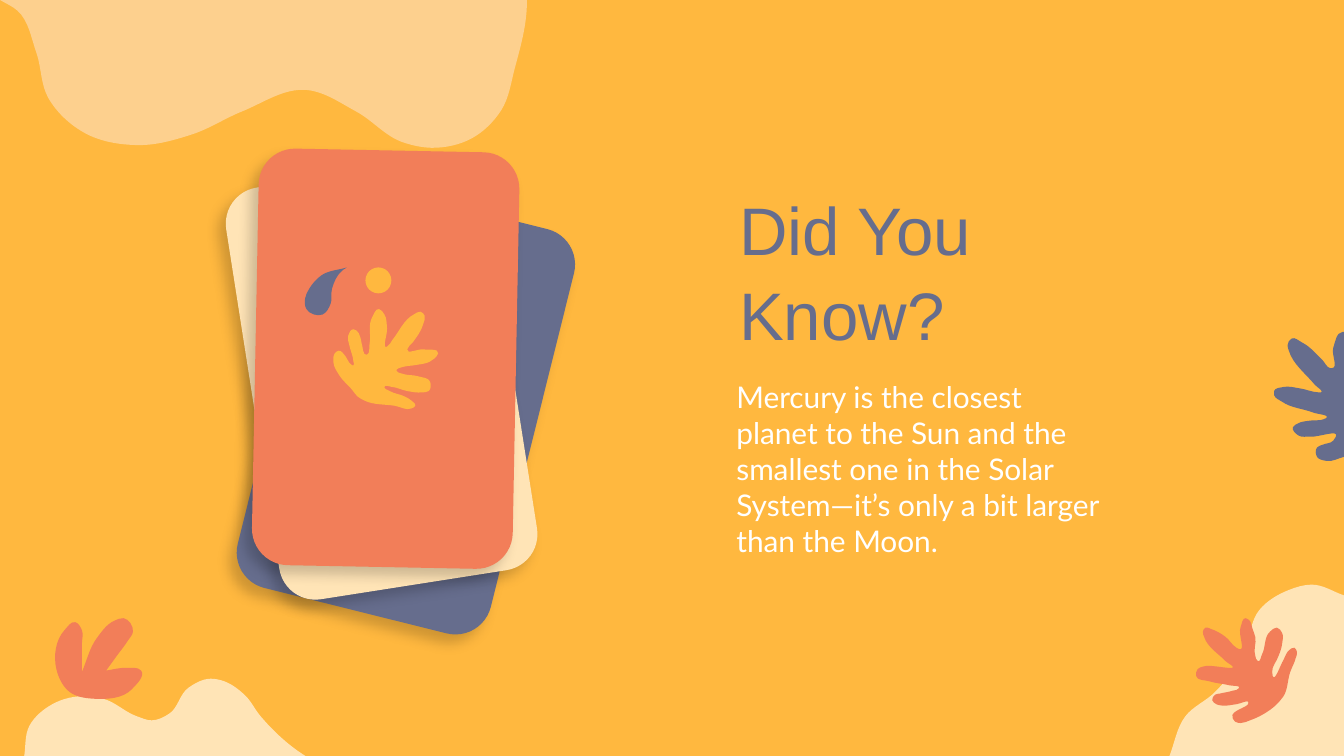
"""Build a "Did You Know?" slide with stacked cards, soft blobs and leaves."""
from lxml import etree
from pptx import Presentation
from pptx.dml.color import RGBColor
from pptx.enum.shapes import MSO_SHAPE
from pptx.enum.text import MSO_ANCHOR, MSO_AUTO_SIZE, PP_ALIGN
from pptx.oxml.ns import qn
from pptx.util import Pt

ROUNDED, OVAL = MSO_SHAPE.ROUNDED_RECTANGLE, MSO_SHAPE.OVAL
TOP, BOTTOM = MSO_ANCHOR.TOP, MSO_ANCHOR.BOTTOM
LEFT, NO_AUTOFIT = PP_ALIGN.LEFT, MSO_AUTO_SIZE.NONE

AMBER = RGBColor(0xFF, 0xB8, 0x3F)
PEACH = RGBColor(0xFD, 0xD0, 0x8E)
CREAM = RGBColor(0xFF, 0xE4, 0xB6)
CORAL = RGBColor(0xF2, 0x7E, 0x59)
SLATE = RGBColor(0x66, 0x6D, 0x8D)
WHITE = RGBColor(0xFF, 0xFF, 0xFF)

GRID = 0.72

prs = Presentation()
prs.slide_width, prs.slide_height = Pt(720), Pt(405)
slide = prs.slides.add_slide(prs.slide_layouts[5])
slide.background.fill.solid()
slide.background.fill.fore_color.rgb = AMBER


def write_text(holder, text, *, font, size, color, anchor=TOP, line_spacing=1.0):
    """Fill a text holder with one left-aligned paragraph."""
    frame = holder.text_frame
    frame.word_wrap, frame.auto_size = True, NO_AUTOFIT
    frame.vertical_anchor = anchor
    frame.margin_left = frame.margin_right = Pt(7.2)
    frame.margin_top = frame.margin_bottom = Pt(7.2)
    paragraph = frame.paragraphs[0]
    paragraph.alignment, paragraph.line_spacing = LEFT, line_spacing
    run = paragraph.add_run()
    run.text = text
    run.font.name, run.font.size, run.font.color.rgb = font, Pt(size), color


def draw_smooth(knots, color):
    """Draw a closed curved outline through grid knots; a doubled knot is a corner."""
    points = [complex(x, y) * GRID for x, y in knots]
    following = points[1:] + points[:1]
    tangents = []
    for i, (point, after) in enumerate(zip(points, following)):
        sides = (point - points[i - 1], after - point)
        slope = sum(side / abs(side) ** 2 for side in sides if side)
        tangents.append(slope / (abs(slope) or 1))
    corners = [(Pt(p.real), Pt(p.imag)) for p in points + points[:1]]
    builder = slide.shapes.build_freeform(*corners[0])
    builder.add_line_segments(corners[1:], close=True)
    shape = builder.convert_to_shape()
    origin = complex(min(p.real for p in points), min(p.imag for p in points))
    segments = list(shape._element.iter(qn("a:lnTo")))
    for i, (segment, start, end) in enumerate(zip(segments, points, following)):
        reach = abs(end - start) / 3
        if not reach:
            segment.getparent().remove(segment)
            continue
        segment.tag = qn("a:cubicBezTo")
        leave = start + tangents[i] * reach - origin
        arrive = end - tangents[(i + 1) % len(points)] * reach - origin
        for order, handle in enumerate((leave, arrive)):
            segment.insert(order, etree.Element(
                qn("a:pt"), x=str(Pt(handle.real)), y=str(Pt(handle.imag))))
    shape.shadow.inherit = False
    shape.fill.solid()
    shape.fill.fore_color.rgb = color
    shape.line.fill.background()


bottom_blob = [
    (157, 505), (140, 512), (126, 531), (113, 536), (102, 533), (77, 520), (65, 518),
    (39, 524), (22, 540), (18, 563), (18, 563), (228, 563), (228, 563), (222, 559),
    (194, 533), (182, 517), (164, 506)]
top_blob = [
    (0, 0), (0, 0), (13, 8), (27, 39), (36, 73), (63, 99), (103, 108), (143, 100),
    (180, 83), (228, 67), (265, 83), (300, 106), (321, 110), (351, 103), (373, 82),
    (383, 51), (392, 3), (392, 0), (392, 0)]
right_blob = [
    (976, 435), (959, 439), (937, 454), (927, 479), (918, 498), (904, 515), (882, 533),
    (870, 563), (870, 563), (1000, 563), (1000, 563), (1000, 443), (1000, 443)]
sprig = [
    (92, 460), (85, 462), (72, 475), (61, 500), (61, 500), (61, 479), (61, 469),
    (56, 463), (48, 469), (42, 498), (52, 515), (71, 520), (98, 513), (105, 499),
    (94, 497), (79, 499), (79, 499), (87, 488), (95, 477), (99, 470)]
coral_leaf = [
    (927, 460), (923, 467), (922, 483), (920, 482), (912, 474), (901, 468), (897, 467),
    (895, 470), (896, 474), (912, 492), (917, 497), (914, 497), (906, 496), (895, 496),
    (891, 498), (890, 503), (900, 507), (915, 510), (922, 512), (917, 514), (908, 516),
    (904, 517), (902, 521), (905, 524), (909, 525), (920, 524), (929, 523), (924, 527),
    (920, 529), (917, 532), (919, 537), (923, 538), (930, 536), (939, 532), (950, 524),
    (955, 518), (960, 500), (964, 490), (965, 485), (963, 482), (959, 484), (955, 491),
    (947, 503), (947, 497), (950, 491), (954, 479), (954, 471), (950, 467), (945, 470),
    (939, 487), (936, 492), (934, 488), (934, 474), (932, 468), (929, 461)]
slate_leaf = [
    (1000, 247), (999, 247), (992, 259), (991, 274), (990, 274), (984, 268), (969, 255),
    (961, 252), (958, 257), (959, 261), (978, 286), (983, 292), (981, 292), (967, 289),
    (955, 288), (948, 291), (948, 294), (954, 299), (977, 307), (987, 311), (985, 312),
    (975, 313), (966, 315), (962, 318), (966, 324), (975, 325), (994, 325), (992, 328),
    (984, 331), (980, 333), (980, 340), (987, 343), (1000, 340), (1000, 340), (1000, 247)]
amber_leaf = [
    (306, 304), (309, 302), (306, 298), (301, 295), (290, 291), (286, 288), (292, 288),
    (303, 291), (314, 292), (319, 291), (320, 284), (311, 280), (299, 278), (295, 276),
    (300, 273), (307, 272), (323, 267), (326, 263), (315, 260), (303, 260), (307, 255),
    (315, 241), (316, 235), (313, 232), (308, 234), (292, 253), (288, 258), (288, 244),
    (286, 234), (282, 230), (277, 236), (275, 256), (273, 264), (269, 255), (267, 248),
    (263, 245), (259, 250), (260, 257), (263, 269), (263, 272), (261, 271), (257, 265),
    (252, 261), (249, 263), (248, 269), (253, 280), (262, 290), (266, 295), (271, 298),
    (294, 302)]
drop = [
    (239, 205), (230, 215), (227, 222), (228, 230), (240, 234), (246, 226), (247, 215),
    (255, 201), (258, 199), (258, 199)]

for knots, color in [(bottom_blob, CREAM), (top_blob, PEACH), (sprig, CORAL),
                     (right_blob, CREAM), (coral_leaf, CORAL), (slate_leaf, SLATE)]:
    draw_smooth(knots, color)

title = slide.shapes.title
title.left, title.top, title.width, title.height = Pt(388.8), Pt(93.6), Pt(213), Pt(103)
write_text(title, "Did You Know?", font="Arial", size=36, color=SLATE,
           anchor=BOTTOM, line_spacing=1.05)

fact = slide.shapes.add_textbox(Pt(387.4), Pt(195.9), Pt(214.5), Pt(105))
write_text(fact, "Mercury is the closest planet to the Sun and the smallest one in the "
           "Solar System—it’s only a bit larger than the Moon.",
           font="Lato", size=16, color=WHITE)

for left, top, angle, color in [(147.6, 107.3, 14, SLATE), (134.6, 91.4, -8.9, CREAM),
                                (136.8, 80.6, 1.1, CORAL)]:
    card = slide.shapes.add_shape(ROUNDED, Pt(left), Pt(top), Pt(139.7), Pt(223.2))
    card.adjustments[0] = 0.14
    card.rotation = angle
    card.fill.solid()
    card.fill.fore_color.rgb = color
    card.line.fill.background()
    card.shadow.inherit = False
    effects = card._element.spPr.find(qn("a:effectLst"))
    shadow = etree.SubElement(effects, qn("a:outerShdw"), blurRad=str(Pt(6.8)),
                              dist=str(Pt(6)), dir=str(131 * 60000),
                              algn="bl", rotWithShape="0")
    tint = etree.SubElement(shadow, qn("a:srgbClr"), val="000000")
    etree.SubElement(tint, qn("a:alpha"), val="18000")

draw_smooth(amber_leaf, AMBER)
dot = slide.shapes.add_shape(OVAL, Pt(195.8), Pt(143.3), Pt(13.9), Pt(13.9))
dot.shadow.inherit = False
dot.fill.solid()
dot.fill.fore_color.rgb = AMBER
dot.line.fill.background()
draw_smooth(drop, SLATE)

prs.save("out.pptx")
